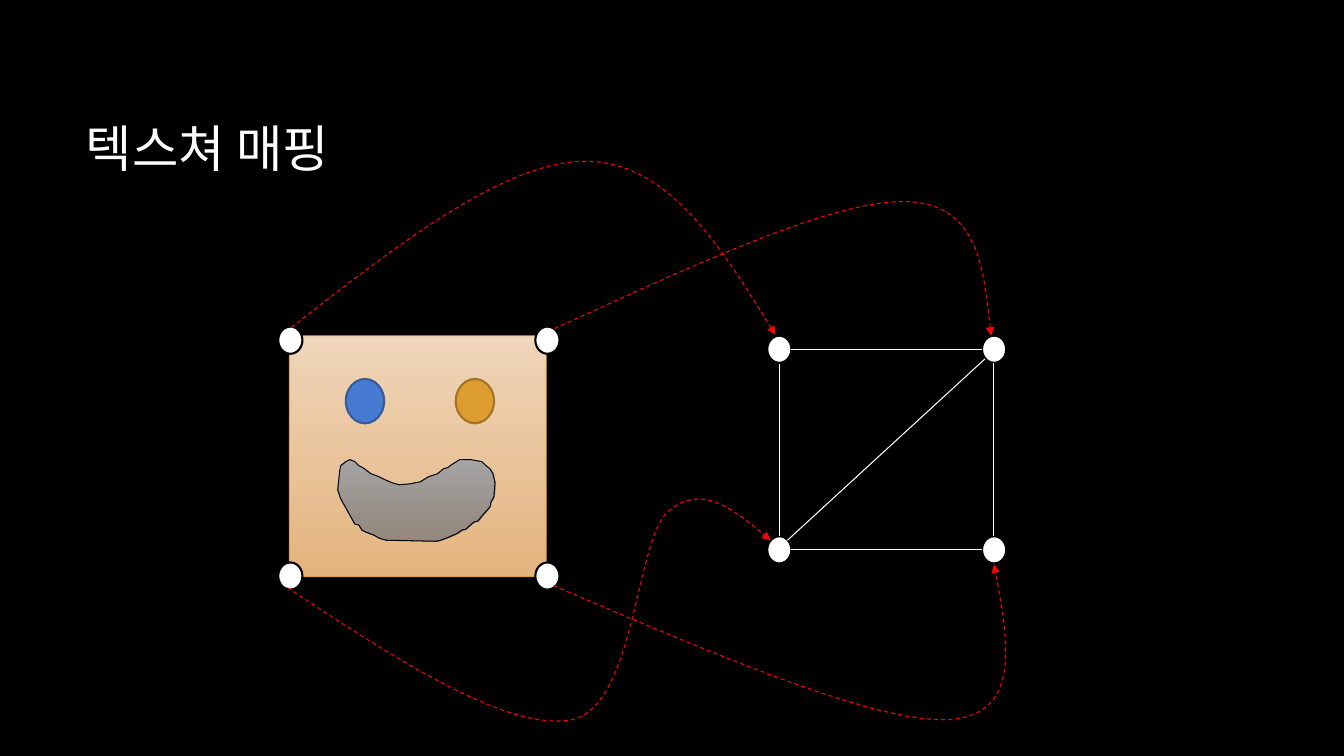
from dataclasses import dataclass

from lxml.etree import SubElement
from pptx import Presentation
from pptx.dml.color import RGBColor
from pptx.enum.dml import MSO_LINE
from pptx.enum.shapes import MSO_CONNECTOR, MSO_SHAPE
from pptx.enum.text import MSO_ANCHOR, MSO_AUTO_SIZE, PP_ALIGN
from pptx.oxml.ns import qn
from pptx.util import Inches, Pt


@dataclass(frozen=True)
class Theme:
    font: str = "Calibri"
    title_size: float = 36
    thin: float = 0.75
    thick: float = 1.5
    background: str = "000000"
    foreground: str = "FFFFFF"
    mapping: str = "FF0000"
    face: tuple = ("EFD5BA", "E4B47E")
    face_line: str = "DD9D31"
    left_eye: tuple = ("477BD1", "355B9B")
    right_eye: tuple = ("DD9D31", "A37424")
    mouth: tuple = ("A6A6A6", "797979")
    end_opacity: int = 74


THEME = Theme()

# Left and top of the corner dots, row by row
DOT_SIZE = (0.24, 0.27)
TEXTURE_DOTS = [(x, y) for y in (3.24, 5.58) for x in (2.76, 5.31)]
MESH_DOTS = [(x, y) for y in (3.33, 5.32) for x in (7.61, 9.74)]

MESH_EDGES = [
    ((7.73, 3.61), (7.73, 5.32)),
    ((7.85, 3.47), (9.74, 3.47)),
    ((9.85, 3.6), (9.85, 5.32)),
    ((7.85, 5.45), (9.74, 5.45)),
    ((7.81, 5.36), (9.77, 3.56)),
]

# Start point, then two control points and an end point per Bezier segment
MAPPING_CURVES = [
    [(2.89, 3.25), (3.95, 2.42), (5.02, 1.59), (5.82, 1.6),
     (6.62, 1.61), (7.16, 2.46), (7.69, 3.32)],
    [(5.5, 3.26), (6.88, 2.63), (8.25, 1.99), (8.97, 2),
     (9.69, 2.01), (9.76, 2.67), (9.83, 3.33)],
    [(2.85, 5.83), (3.94, 6.55), (5.04, 7.26), (5.67, 7.14),
     (6.3, 7.01), (6.3, 5.38), (6.62, 5.08),
     (6.95, 4.79), (7.3, 5.07), (7.64, 5.36)],
    [(5.49, 5.81), (7.08, 6.49), (8.67, 7.17), (9.4, 7.14),
     (10.13, 7.1), (10, 6.35), (9.86, 5.6)],
]

MOUTH_OUTLINE = [
    (3.47, 5.11), (3.38, 4.95), (3.35, 4.86), (3.37, 4.67), (3.38, 4.62),
    (3.43, 4.58), (3.47, 4.56), (3.52, 4.58), (3.56, 4.62), (3.6, 4.64),
    (3.68, 4.7), (3.76, 4.73), (3.82, 4.76), (3.89, 4.79), (3.96, 4.81),
    (4.07, 4.8), (4.17, 4.78), (4.25, 4.73), (4.34, 4.7), (4.4, 4.65),
    (4.44, 4.64), (4.48, 4.61), (4.56, 4.56), (4.67, 4.56), (4.78, 4.58),
    (4.82, 4.62), (4.86, 4.65), (4.89, 4.7), (4.91, 4.79), (4.9, 4.93),
    (4.87, 4.98), (4.86, 5.03), (4.78, 5.12), (4.74, 5.17), (4.7, 5.18),
    (4.62, 5.25), (4.58, 5.26), (4.54, 5.29), (4.45, 5.33), (4.37, 5.36),
    (4.33, 5.37), (3.83, 5.36), (3.76, 5.34), (3.71, 5.31), (3.63, 5.28),
    (3.59, 5.26), (3.56, 5.21), (3.52, 5.2),
]


def color(value):
    return RGBColor.from_string(value)


def set_line(shape, value, width):
    shape.line.color.rgb = color(value)
    shape.line.width = Pt(width)


def set_gradient(shape, colors):
    """Downward gradient whose last colour is partly transparent."""
    shape.fill.gradient()
    shape.fill.gradient_angle = 270
    for stop, position, value in zip(shape.fill.gradient_stops, (0, 1), colors):
        stop.position = position
        stop.color.rgb = color(value)
    last_color = list(shape._element.spPr.iter(qn("a:srgbClr")))[-1]
    SubElement(last_color, qn("a:alpha"), val=str(THEME.end_opacity * 1000))


def add_preset(shapes, kind, box, line, width, fill=None):
    shape = shapes.add_shape(kind, *map(Inches, box))
    shape.shadow.inherit = False
    if fill:
        shape.fill.solid()
        shape.fill.fore_color.rgb = color(fill)
    set_line(shape, line, width)
    return shape


def add_outline(shapes, points, close):
    start, *others = [(Inches(x), Inches(y)) for x, y in points]
    builder = shapes.build_freeform(*start)
    builder.add_line_segments(others, close=close)
    shape = builder.convert_to_shape()
    shape.shadow.inherit = False
    return shape


def add_dots(shapes, corners):
    for corner in corners:
        add_preset(shapes, MSO_SHAPE.OVAL, (*corner, *DOT_SIZE),
                   THEME.background, THEME.thick, THEME.foreground)


def add_edge(shapes, start, end):
    edge = shapes.add_connector(MSO_CONNECTOR.STRAIGHT,
                                *map(Inches, (*start, *end)))
    set_line(edge, THEME.foreground, THEME.thin)
    SubElement(edge._element.spPr, qn("a:effectLst"))


def add_mapping_curve(shapes, points):
    curve = add_outline(shapes, points, close=False)
    curve.fill.background()
    set_line(curve, THEME.mapping, THEME.thin)
    curve.line.dash_style = MSO_LINE.DASH
    SubElement(curve.line._get_or_add_ln(), qn("a:tailEnd"), type="triangle")
    # Every three straight segments become one Bezier segment
    path = next(curve._element.iter(qn("a:path")))
    segments = path.findall(qn("a:lnTo"))
    for index in range(0, len(segments), 3):
        bezier = SubElement(path, qn("a:cubicBezTo"))
        for segment in segments[index:index + 3]:
            bezier.append(segment[0])
            path.remove(segment)


def add_title(slide, text):
    title = slide.shapes.title
    title.left, title.top, title.width, title.height = map(
        Inches, (0.75, 0.67, 11.08, 1.59))
    frame = title.text_frame
    frame.text = text
    frame.auto_size = MSO_AUTO_SIZE.NONE
    frame.vertical_anchor = MSO_ANCHOR.MIDDLE
    paragraph = frame.paragraphs[0]
    paragraph.alignment = PP_ALIGN.LEFT
    font = paragraph.runs[0].font
    font.name, font.size = THEME.font, Pt(THEME.title_size)
    font.color.rgb = color(THEME.foreground)


def add_face(slide):
    shapes = slide.shapes.add_group_shape().shapes
    face = add_preset(shapes, MSO_SHAPE.RECTANGLE, (2.87, 3.33, 2.55, 2.39),
                      THEME.face_line, THEME.thin)
    set_gradient(face, THEME.face)
    for left, (fill, line) in ((3.43, THEME.left_eye), (4.52, THEME.right_eye)):
        add_preset(shapes, MSO_SHAPE.OVAL, (left, 3.76, 0.38, 0.44),
                   line, THEME.thick, fill)
    mouth = add_outline(shapes, MOUTH_OUTLINE, close=True)
    set_gradient(mouth, THEME.mouth)
    set_line(mouth, THEME.background, THEME.thin)


def main():
    presentation = Presentation()
    presentation.slide_width = Inches(13.33)
    presentation.slide_height = Inches(7.5)
    slide = presentation.slides.add_slide(presentation.slide_layouts[5])
    slide.background.fill.solid()
    slide.background.fill.fore_color.rgb = color(THEME.background)

    add_title(slide, "텍스쳐 매핑")
    add_face(slide)

    # Target mesh
    add_dots(slide.shapes, MESH_DOTS)
    for start, end in MESH_EDGES:
        add_edge(slide.shapes, start, end)

    # Texture corners and their mapping to the mesh
    add_dots(slide.shapes, TEXTURE_DOTS)
    for points in MAPPING_CURVES:
        add_mapping_curve(slide.shapes, points)

    presentation.save("out.pptx")


if __name__ == "__main__":
    main()
